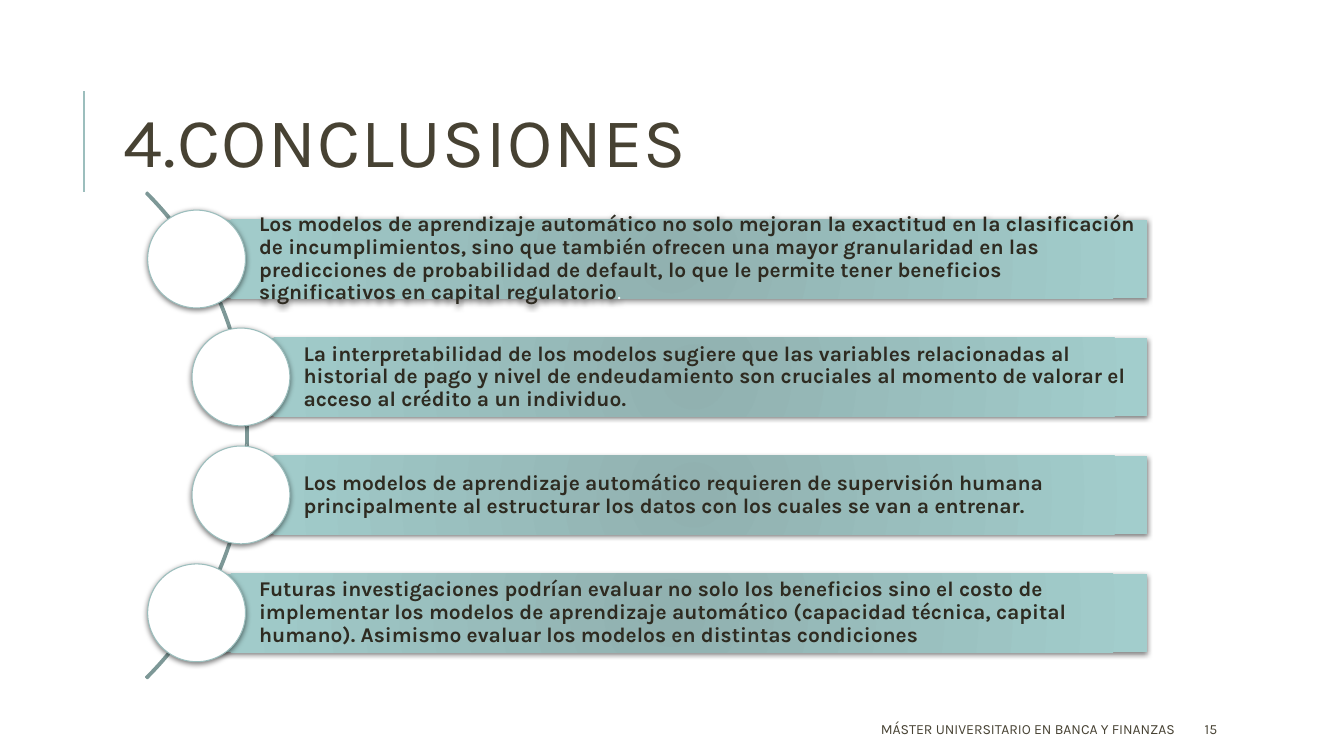
from dataclasses import dataclass

from lxml.etree import SubElement
from pptx import Presentation
from pptx.dml.color import RGBColor
from pptx.enum.shapes import MSO_CONNECTOR as Connector, MSO_SHAPE as Preset
from pptx.enum.text import MSO_ANCHOR as Anchor, MSO_AUTO_SIZE as AutoSize, PP_ALIGN as Align
from pptx.oxml.ns import qn
from pptx.shapes.autoshape import Shape
from pptx.slide import Slide
from pptx.text.text import _Run as Run
from pptx.util import Inches, Pt

FONT = "Karla"
WHITE = RGBColor(0xFF, 0xFF, 0xFF)
BROWN = RGBColor(0x47, 0x42, 0x33)
INK = RGBColor(0x2E, 0x2B, 0x21)
EDGE = RGBColor(0x9C, 0xBE, 0xBD)
ARC_EDGE = RGBColor(0x7D, 0x98, 0x97)
BAR_STOPS = (RGBColor(0x91, 0xB1, 0xB0), RGBColor(0xA2, 0xCD, 0xCC))

OUTER_LEFT, INNER_LEFT, BAR_RIGHT = 1.95, 2.39, 11.38
FIRST_TOP, PITCH, BAR_HEIGHT = 2.18, 1.17, 0.78
CIRCLE_SIZE = 0.97


@dataclass(frozen=True)
class Conclusion:
    left: float
    text: str
    ending: str = ""


CONCLUSIONS = (
    Conclusion(
        OUTER_LEFT,
        "Los modelos de aprendizaje automático no solo mejoran la exactitud en la "
        "clasificación de incumplimientos, sino que también ofrecen una mayor granularidad "
        "en las predicciones de probabilidad de default, lo que le permite tener beneficios "
        "significativos en capital regulatorio",
        ending=".",
    ),
    Conclusion(
        INNER_LEFT,
        "La interpretabilidad de los modelos sugiere que las variables relacionadas al "
        "historial de pago y nivel de endeudamiento son cruciales al momento de valorar el "
        "acceso al crédito a un individuo.",
    ),
    Conclusion(
        INNER_LEFT,
        "Los modelos de aprendizaje automático requieren de supervisión humana "
        "principalmente al estructurar los datos con los cuales se van a entrenar.",
    ),
    Conclusion(
        OUTER_LEFT,
        "Futuras investigaciones podrían evaluar no solo los beneficios sino el costo de "
        "implementar los modelos de aprendizaje automático (capacidad técnica, capital "
        "humano). Asimismo evaluar los modelos en distintas condiciones",
    ),
)


def format_run(span: Run, size: float, color: RGBColor, bold: bool = False) -> None:
    span.font.name = FONT
    span.font.size = Pt(size)
    span.font.bold = bold
    span.font.color.rgb = color


def add_preset(page: Slide, preset: Preset, left: float, top: float,
               width: float, height: float) -> Shape:
    shape = page.shapes.add_shape(
        preset, Inches(left), Inches(top), Inches(width), Inches(height))
    shape.shadow.inherit = False
    return shape


def add_soft_shadow(shape: Shape) -> None:
    effects = shape.element.spPr.find(qn("a:effectLst"))
    shadow = SubElement(effects, qn("a:outerShdw"), blurRad=str(Pt(4)), dist=str(Pt(1)),
                        dir="5400000", algn="ctr", rotWithShape="0")
    color = SubElement(shadow, qn("a:srgbClr"), val="000000")
    SubElement(color, qn("a:alpha"), val="50000")


def fill_radial(shape: Shape) -> None:
    shape.fill.gradient()
    for stop, color in zip(shape.fill.gradient_stops, BAR_STOPS):
        stop.color.rgb = color
    gradient = shape.element.spPr.find(qn("a:gradFill"))
    gradient.remove(gradient.find(qn("a:lin")))
    circle = SubElement(gradient, qn("a:path"), path="circle")
    SubElement(circle, qn("a:fillToRect"), {side: "100000" for side in "ltrb"})


def add_title(page: Slide) -> None:
    title = page.shapes.title
    title.left, title.top = Inches(1.12), Inches(0.64)
    title.width, title.height = Inches(10.63), Inches(1.64)
    frame = title.text_frame
    frame.text = "4.CONCLUSIONES"
    frame.auto_size = AutoSize.NONE
    frame.vertical_anchor = Anchor.MIDDLE
    para = frame.paragraphs[0]
    para.alignment = Align.LEFT
    para.line_spacing = 0.8
    span = para.runs[0]
    format_run(span, 50, BROWN)
    span.font._element.set("spc", "100")

    rule = page.shapes.add_connector(
        Connector.STRAIGHT, Inches(0.83), Inches(1.9), Inches(0.83), Inches(0.9))
    rule.line.color.rgb = EDGE
    rule.line.width = Pt(1.5)
    SubElement(rule.element.spPr, qn("a:effectLst"))


def add_footer_text(page: Slide, text: str, left: float, width: float, align: Align) -> None:
    box = page.shapes.add_textbox(Inches(left), Inches(7.08), Inches(width), Inches(0.3))
    frame = box.text_frame
    frame.word_wrap = True
    frame.vertical_anchor = Anchor.MIDDLE
    frame.text = text
    para = frame.paragraphs[0]
    para.alignment = align
    format_run(para.runs[0], 10, BROWN)


def add_arc(page: Slide) -> None:
    arc = add_preset(page, Preset.BLOCK_ARC, -4.36, 0.91, 6.82, 6.82)
    for index, value in enumerate((189, 27, 0.003)):
        arc.adjustments[index] = value
    arc.fill.background()
    arc.line.color.rgb = ARC_EDGE
    arc.line.width = Pt(1.25)


def add_conclusion(page: Slide, conclusion: Conclusion, top: float) -> None:
    """Draw one bar with its text and the circle over its left end."""
    left = conclusion.left
    bar = add_preset(page, Preset.RECTANGLE, left, top, BAR_RIGHT - left, BAR_HEIGHT)
    fill_radial(bar)
    bar.line.fill.background()
    add_soft_shadow(bar)

    frame = bar.text_frame
    frame.word_wrap = True
    frame.vertical_anchor = Anchor.MIDDLE
    frame.margin_left = Inches(0.62)
    frame.margin_top = frame.margin_right = frame.margin_bottom = Inches(0.04)
    frame.text = conclusion.text
    para = frame.paragraphs[0]
    para.alignment = Align.LEFT
    para.line_spacing = 0.9
    format_run(para.runs[0], 15, INK, bold=True)
    if conclusion.ending:
        span = para.add_run()
        span.text = conclusion.ending
        format_run(span, 15, WHITE)

    circle = add_preset(page, Preset.OVAL, left - CIRCLE_SIZE / 2,
                        top + (BAR_HEIGHT - CIRCLE_SIZE) / 2, CIRCLE_SIZE, CIRCLE_SIZE)
    circle.fill.solid()
    circle.fill.fore_color.rgb = WHITE
    circle.line.color.rgb = EDGE
    circle.line.width = Pt(0.75)
    add_soft_shadow(circle)


def main() -> None:
    deck = Presentation()
    deck.slide_width, deck.slide_height = Inches(13.33), Inches(7.5)
    title_only = deck.slide_layouts.get_by_name("Title Only")
    page = deck.slides.add_slide(title_only)
    add_title(page)
    add_footer_text(page, "MÁSTER UNIVERSITARIO EN BANCA Y FINANZAS", 5.3, 6.45, Align.RIGHT)
    add_footer_text(page, "15", 11.85, 1.06, Align.LEFT)
    add_arc(page)
    for row, conclusion in enumerate(CONCLUSIONS):
        add_conclusion(page, conclusion, FIRST_TOP + row * PITCH)
    deck.save("out.pptx")


if __name__ == "__main__":
    main()
